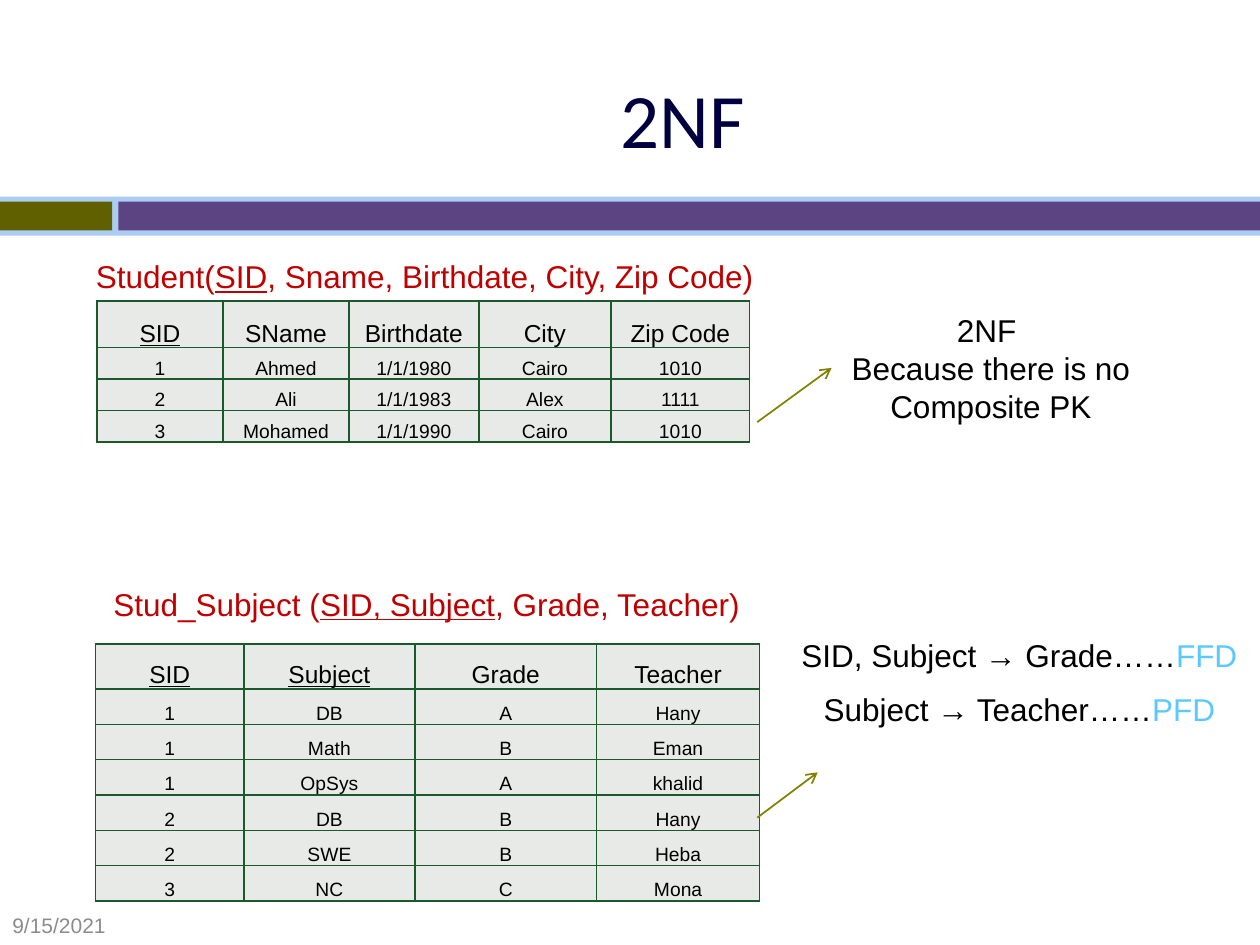
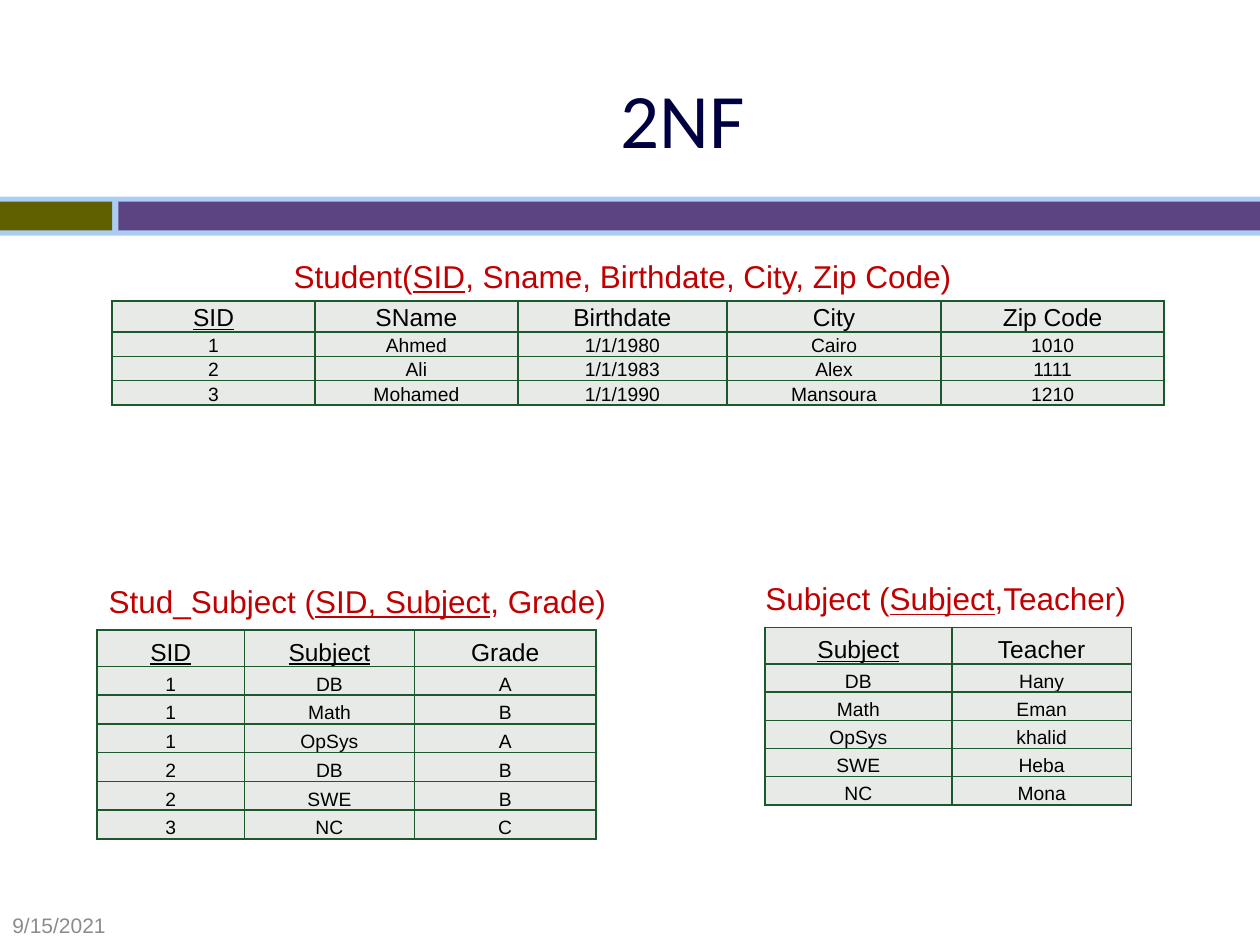
from lxml import etree
from pptx import Presentation
from pptx.dml.color import RGBColor
from pptx.enum.shapes import MSO_CONNECTOR, MSO_SHAPE
from pptx.enum.text import MSO_ANCHOR, PP_ALIGN
from pptx.oxml import parse_xml
from pptx.oxml.ns import nsdecls, qn
from pptx.util import Inches, Pt

CENTER, LEFT = PP_ALIGN.CENTER, PP_ALIGN.LEFT
TOP, MIDDLE, BOTTOM = MSO_ANCHOR.TOP, MSO_ANCHOR.MIDDLE, MSO_ANCHOR.BOTTOM
RECTANGLE, STRAIGHT = MSO_SHAPE.RECTANGLE, MSO_CONNECTOR.STRAIGHT

COLUMNS, ROWS = 100, 75
WIDTH, HEIGHT = Inches(10), Inches(7.5)
COLORS = {
    "band": "ABCDF4", "accent": "606000", "bar": "5C4381",
    "title": "000040", "date": "8C8C8C", "text": "000000",
    "heading": "C00000", "dependency": "5BC9FF", "arrow": "828200",
    "cell": "E8EAE8", "border": "1B582B",
}
STUDENT_HEADING = ("Student(", "SID", ", Sname, Birthdate, City, Zip Code)")
STUDENT_HEADER = ["SID", "SName", "Birthdate", "City", "Zip Code"]
STUDENTS = [
    ["1", "Ahmed", "1/1/1980", "Cairo", "1010"],
    ["2", "Ali", "1/1/1983", "Alex", "1111"],
]
GRADES = [
    ["1", "DB", "A"], ["1", "Math", "B"], ["1", "OpSys", "A"],
    ["2", "DB", "B"], ["2", "SWE", "B"], ["3", "NC", "C"],
]
TEACHERS = {"DB": "Hany", "Math": "Eman", "OpSys": "khalid", "SWE": "Heba", "NC": "Mona"}


def rgb(name):
    """Look up a palette colour."""
    return RGBColor.from_string(COLORS[name])


def across(columns):
    """Turn grid columns into a length."""
    return round(WIDTH * columns / COLUMNS)


def down(rows):
    """Turn grid rows into a length."""
    return round(HEIGHT * rows / ROWS)


def place(box):
    """Turn a grid box into left, top, width and height."""
    left, top, width, height = box
    return across(left), down(top), across(width), down(height)


def write(frame, paragraphs, size=18, color="text", font="Arial", align=CENTER, underline=False):
    """Write paragraphs, each a list of strings or (string, overrides) runs."""
    for index, runs in enumerate(paragraphs):
        paragraph = frame.add_paragraph() if index else frame.paragraphs[0]
        paragraph.alignment = align
        for part in runs:
            words, changes = (part, {}) if isinstance(part, str) else part
            run = paragraph.add_run()
            run.text = words
            run.font.name = font
            run.font.size = Pt(size)
            run.font.color.rgb = rgb(changes.get("color", color))
            run.font.underline = changes.get("underline", underline)


def label(slide, box, paragraphs, anchor=TOP, left=1, right=1, **style):
    """Add a wrapped text box with side margins in grid columns."""
    frame = slide.shapes.add_textbox(*place(box)).text_frame
    frame.word_wrap = True
    frame.vertical_anchor = anchor
    frame.margin_left, frame.margin_right = across(left), across(right)
    write(frame, paragraphs, **style)


def bands(slide, box):
    """Draw the divider: a pale band holding a short and a long bar."""
    left, top, width, height = box
    inner, bar = top + 0.4, height - 0.8
    for color, part in (
        ("band", box),
        ("accent", (left, inner, 8.9, bar)),
        ("bar", (left + 9.4, inner, width - 9.4, bar)),
    ):
        shape = slide.shapes.add_shape(RECTANGLE, *place(part))
        shape.shadow.inherit = False
        shape.fill.solid()
        shape.fill.fore_color.rgb = rgb(color)
        shape.line.fill.background()


def heading(slide, box, parts):
    """Write a relation schema with its key underlined."""
    name, key, rest = parts
    label(slide, box, [[name, (key, {"underline": True}), rest]], left=3.8, color="heading")


def style_cell(cell):
    """Give a cell its fill, borders, margins and anchor."""
    properties = cell._tc.get_or_add_tcPr()
    for side in "LRTB":
        properties.append(parse_xml(
            f'<a:ln{side} {nsdecls("a")} w="{Pt(1)}"><a:solidFill>'
            f'<a:srgbClr val="{COLORS["border"]}"/></a:solidFill></a:ln{side}>'))
    cell.fill.solid()
    cell.fill.fore_color.rgb = rgb("cell")
    cell.margin_left = cell.margin_right = cell.margin_top = Inches(0.01)
    cell.margin_bottom = 0
    cell.vertical_anchor = BOTTOM


def relation(slide, box, header, records, widths, header_height, keys=1):
    """Draw a relation as a table whose first columns are the key."""
    rows = [header] + records
    table = slide.shapes.add_table(len(rows), len(header), *place(box)).table
    table.first_row = table.horz_banding = False
    for column, width in zip(table.columns, widths):
        column.width = across(width)
    body_height = (box[3] - header_height) / len(records)
    for r, values in enumerate(rows):
        table.rows[r].height = down(body_height if r else header_height)
        for c, value in enumerate(values):
            cell = table.cell(r, c)
            style_cell(cell)
            write(cell.text_frame, [[value]], size=11 if r else 14,
                  underline=r == 0 and c < keys)


def arrow(slide, start, end):
    """Draw an arrow between two grid points."""
    line = slide.shapes.add_connector(
        STRAIGHT, across(start[0]), down(start[1]), across(end[0]), down(end[1]))
    line.line.color.rgb = rgb("arrow")
    line.line.width = Pt(1)
    etree.SubElement(line.line._get_or_add_ln(), qn("a:tailEnd"), type="arrow")
    etree.SubElement(line._element.spPr, qn("a:effectLst"))


def dependency(slide, box, rule, kind):
    """Write a functional dependency followed by its kind."""
    label(slide, box, [[rule + "……", (kind, {"color": "dependency"})]], left=0.3, right=1.7)


def base_slide(deck):
    """Add a slide with the shared divider, title and date."""
    slide = deck.slides.add_slide(deck.slide_layouts[6])
    bands(slide, (0, 15.6, COLUMNS, 3.1))
    label(slide, (9.2, 3.1, 90, 12.5), [["2NF"]], anchor=MIDDLE,
          size=44, color="title", font="Calibri")
    label(slide, (0, 71.9, 19.7, 3.1), [["9/15/2021"]], anchor=MIDDLE,
          size=12, color="date", align=LEFT)
    return slide


def analysis_slide(deck):
    """Show the two relations and what their dependencies mean."""
    slide = base_slide(deck)
    relation(slide, (7.7, 23.9, 51.8, 11.2), STUDENT_HEADER,
             STUDENTS + [["3", "Mohamed", "1/1/1990", "Cairo", "1010"]],
             (10, 10, 10.3, 10.5, 11), 3.7)
    relation(slide, (7.6, 51.1, 52.7, 20.4), ["SID", "Subject", "Grade", "Teacher"],
             [grade + [TEACHERS[grade[1]]] for grade in GRADES],
             (11.75, 13.6, 14.4, 12.95), 3.6, keys=2)
    heading(slide, (3.1, 19.9, 58.4, 4), STUDENT_HEADING)
    heading(slide, (3.1, 45.9, 58.7, 4), ("Stud_Subject (", "SID, Subject", ", Grade, Teacher)"))
    arrow(slide, (60.1, 33.5), (66, 29.2))
    label(slide, (66, 24.2, 25.3, 10.1), [["2NF "], ["Because there is no Composite PK"]])
    arrow(slide, (60.1, 64.9), (64.9, 61.3))
    dependency(slide, (62.5, 50, 38.2, 4), "SID, Subject → Grade", "FFD")
    dependency(slide, (62.5, 54.3, 38.2, 4), "Subject → Teacher", "PFD")


def result_slide(deck):
    """Show the three relations after decomposition."""
    slide = base_slide(deck)
    relation(slide, (8.9, 23.9, 83.5, 8.2), STUDENT_HEADER,
             STUDENTS + [["3", "Mohamed", "1/1/1990", "Mansoura", "1210"]],
             (16.1, 16.1, 16.6, 17, 17.7), 2.4)
    relation(slide, (7.7, 50, 39.6, 16.6), ["SID", "Subject", "Grade"], GRADES,
             (11.7, 13.5, 14.4), 2.9, keys=2)
    relation(slide, (60.7, 49.8, 29.1, 14.1), ["Subject", "Teacher"],
             [list(pair) for pair in TEACHERS.items()], (14.85, 14.25), 2.9)
    heading(slide, (18.8, 19.9, 58.4, 4), STUDENT_HEADING)
    heading(slide, (-2.4, 45.7, 58.7, 4), ("Stud_Subject (", "SID, Subject", ", Grade)"))
    heading(slide, (44.3, 45.5, 58.7, 4), ("Subject (", "Subject", ",Teacher)"))


def main():
    """Build and save the deck."""
    deck = Presentation()
    deck.slide_width, deck.slide_height = WIDTH, HEIGHT
    analysis_slide(deck)
    result_slide(deck)
    deck.save("out.pptx")


main()
